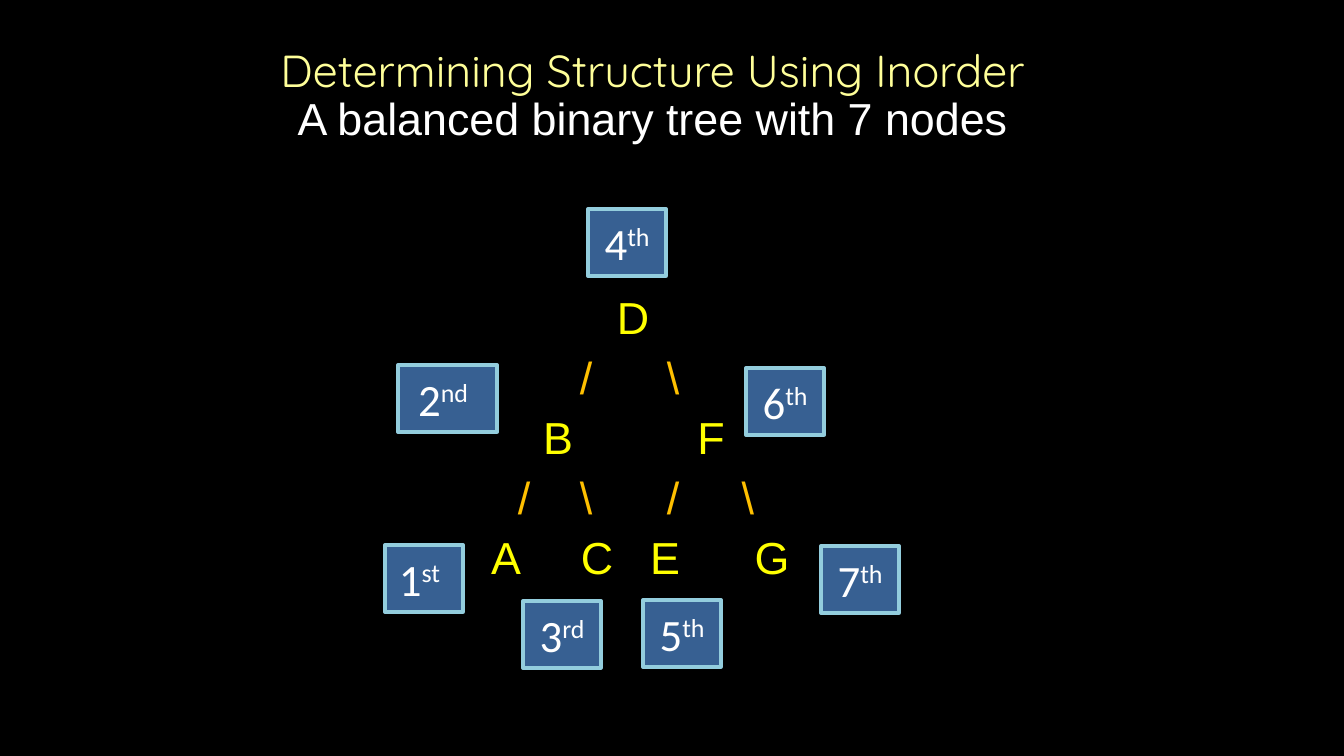
"""Build a slide on reading a balanced binary tree in inorder."""
from pptx import Presentation
from pptx import util as u
from pptx.dml.color import RGBColor
from pptx.enum import shapes, text
from pptx.oxml.ns import qn
from lxml import etree

PX = 914400 / 134.4
HUES = {
    "back": "000000", "title": "FFFF99", "white": "FFFFFF", "node": "FFFF00",
    "edge": "FFC000", "fill": "376092", "line": "93CDDD",
}


def px(*nums):
    return [u.Emu(round(n * PX)) for n in nums]


def write(para, words, hue="white", face="Arial", raised=False):
    para.alignment = text.PP_ALIGN.CENTER
    run = para.add_run()
    run.text = words
    run.font.size = u.Pt(24)
    run.font.name = face
    run.font.color.rgb = RGBColor.from_string(HUES[hue])
    if raised:
        run.font._element.set("baseline", "30000")


deck = Presentation()
deck.slide_width, deck.slide_height = px(1344, 756)
slide = deck.slides.add_slide(deck.slide_layouts[1])
slide.background.fill.solid()
slide.background.fill.fore_color.rgb = RGBColor.from_string(HUES["back"])
title = slide.shapes.title._element
title.getparent().remove(title)

body = slide.placeholders[1]
body.left, body.top, body.width, body.height = px(182, 42, 941, 120)
frame = body.text_frame
frame.word_wrap = True
frame.auto_size = text.MSO_AUTO_SIZE.NONE
frame.vertical_anchor = text.MSO_ANCHOR.TOP
heads = [
    ("Determining Structure Using Inorder", "title", "Quicksand"),
    ("A balanced binary tree with 7 nodes", "white", "Arial"),
]
for i, (words, hue, face) in enumerate(heads):
    para = frame.add_paragraph() if i else frame.paragraphs[0]
    props = para._p.get_or_add_pPr()
    props.set("marL", "0")
    props.set("indent", "0")
    etree.SubElement(props, qn("a:buNone"))
    para.line_spacing = 0.9
    para.space_before = u.Pt(0)
    write(para, words, hue=hue, face=face)

tree = [
    ("D", "node", [633]),
    ("/\\", "edge", [586, 673]),
    ("BF", "node", [558, 711]),
    ("/\\/\\", "edge", [524, 586, 673, 748]),
    ("ACEG", "node", [506, 597, 665, 772]),
]
for row, (marks, hue, mids) in enumerate(tree):
    for mark, mid in zip(marks, mids):
        box = slide.shapes.add_textbox(*px(mid - 30, 290 + 60 * row, 60, 52))
        frame = box.text_frame
        frame.word_wrap = True
        frame.margin_left = frame.margin_right = 0
        frame.margin_top = frame.margin_bottom = 0
        write(frame.paragraphs[0], mark, hue=hue)

ranks = [
    ("1", "st", 385, 545, 78, 22), ("2", "nd", 398, 365, 99, 22),
    ("3", "rd", 523, 601, 78, 13), ("4", "th", 588, 209, 78, 13),
    ("5", "th", 643, 600, 78, 13), ("6", "th", 746, 368, 78, 13),
    ("7", "th", 821, 546, 78, 13),
]
for num, end, left, top, wide, inset in ranks:
    box = slide.shapes.add_shape(
        shapes.MSO_SHAPE.RECTANGLE, *px(left, top, wide, 67))
    box.shadow.inherit = False
    box.fill.solid()
    box.fill.fore_color.rgb = RGBColor.from_string(HUES["fill"])
    box.line.color.rgb = RGBColor.from_string(HUES["line"])
    box.line.width = u.Pt(2)
    frame = box.text_frame
    frame.word_wrap = True
    frame.vertical_anchor = text.MSO_ANCHOR.MIDDLE
    frame.margin_right = px(inset)[0]
    write(frame.paragraphs[0], num, face="Calibri")
    write(frame.paragraphs[0], end, face="Calibri", raised=True)

deck.save("out.pptx")
